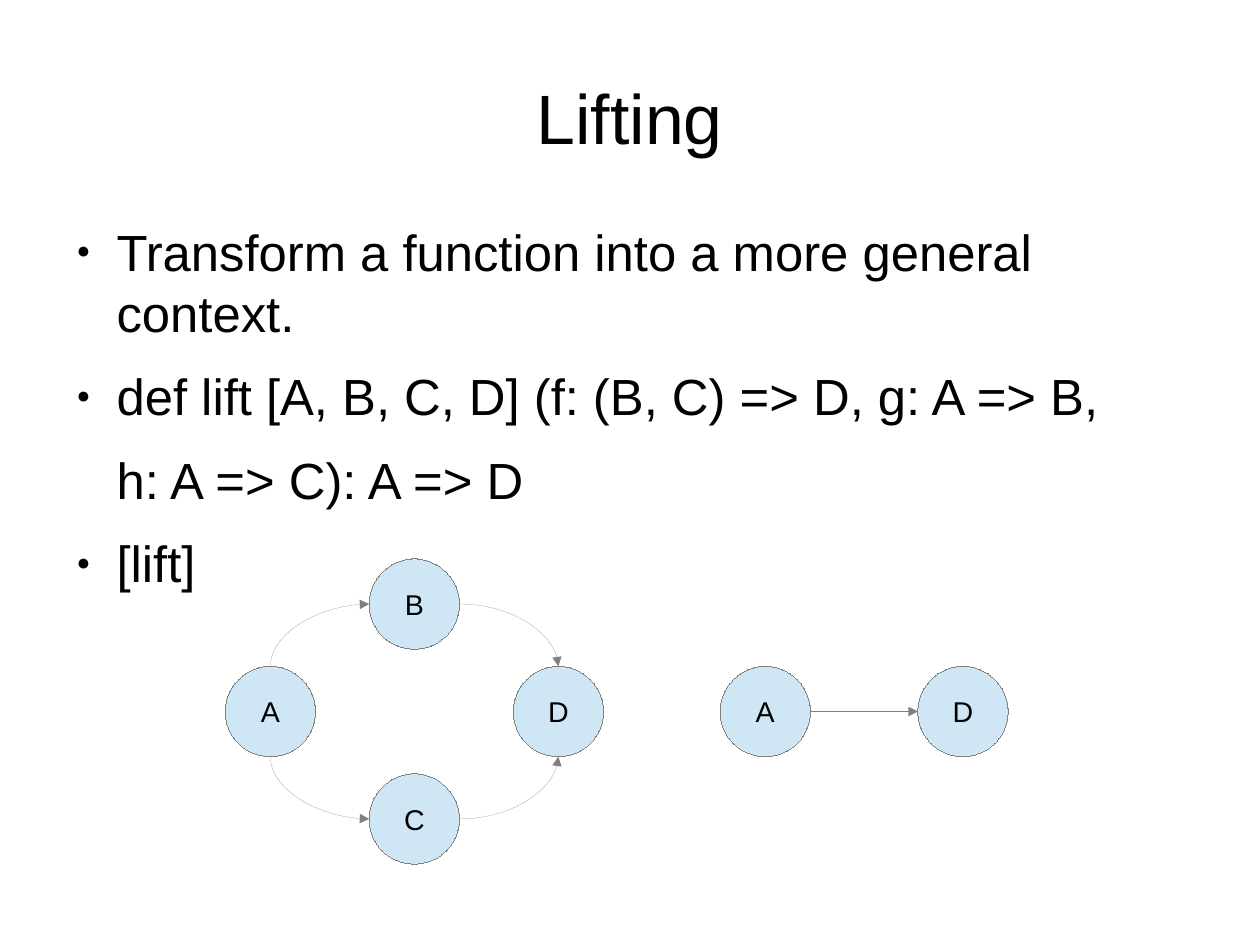
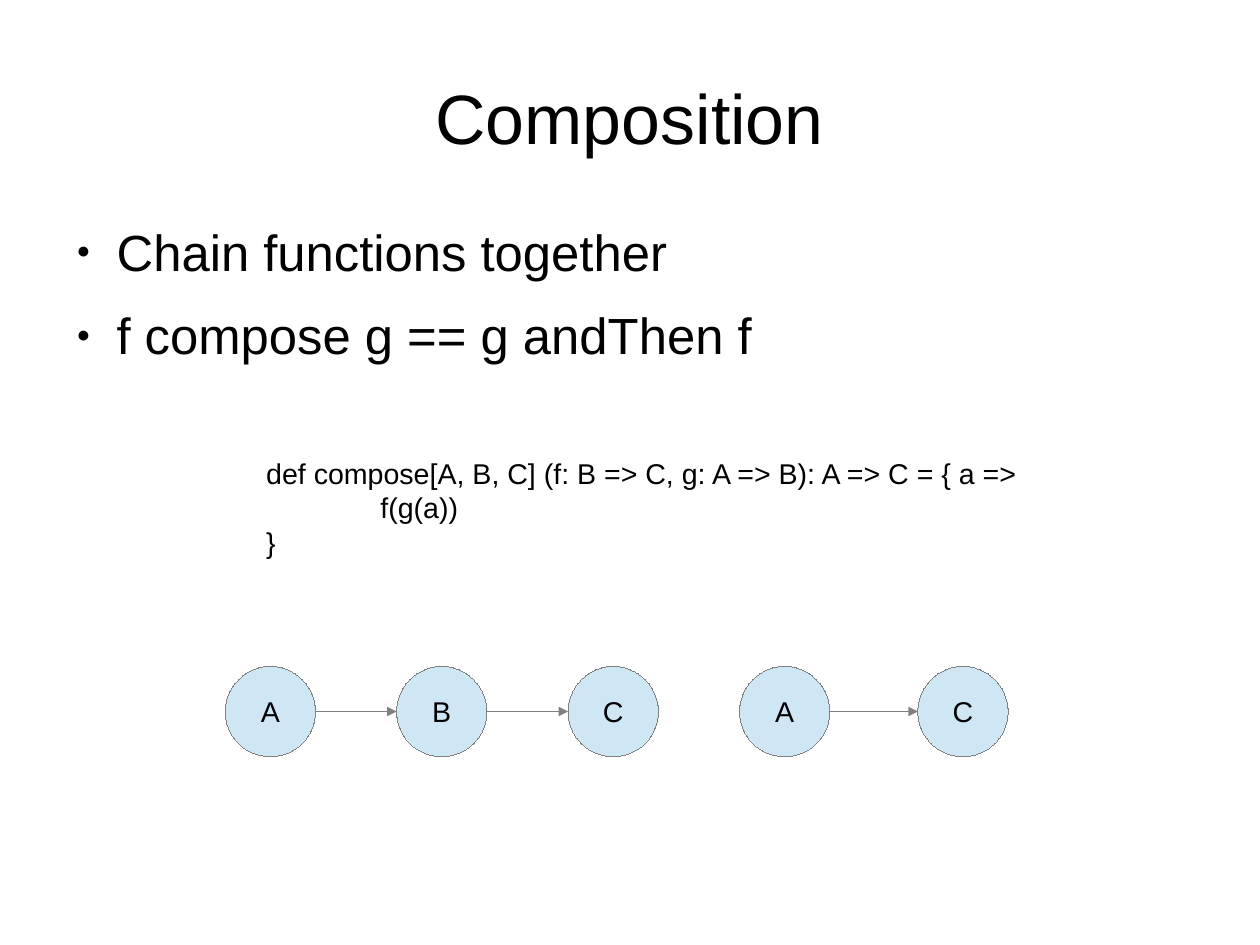
import pptx
import pptx.dml.color
import pptx.enum.shapes
import pptx.enum.text
import pptx.oxml.ns
import pptx.util
from lxml import etree

Inches = pptx.util.Inches
Pt = pptx.util.Pt
qn = pptx.oxml.ns.qn
PP_ALIGN = pptx.enum.text.PP_ALIGN
ANCHOR = pptx.enum.text.MSO_ANCHOR
CONNECTOR = pptx.enum.shapes.MSO_CONNECTOR

FONT = "Arial"
BLACK, GREY, PALE_BLUE = "000000", "808080", "CFE7F5"
NODE_SIZE = 0.79
ROW_Y, ROW_GAP = 5.83, 0.94
LEFT_X, RIGHT_X = 1.97, 8.03

# Connection site number and relative position on an ellipse
SIDES = {"top": (0, 0.5, 0), "left": (2, 0, 0.5),
         "bottom": (4, 0.5, 1), "right": (6, 1, 0.5)}


def rgb(value):
    return pptx.dml.color.RGBColor.from_string(value)


def add_child(parent, tag, **attributes):
    return etree.SubElement(parent, qn(tag), attributes)


def add_run(p, text, size):
    r = p.add_run()
    r.text = text
    r.font.name = FONT
    r.font.size = Pt(size)
    r.font.color.rgb = rgb(BLACK)


def place(shape, left, top, width, height):
    shape.left, shape.top = Inches(left), Inches(top)
    shape.width, shape.height = Inches(width), Inches(height)


def clear_margins(tf):
    tf.margin_left = tf.margin_right = tf.margin_top = tf.margin_bottom = 0
    tf.auto_size = pptx.enum.text.MSO_AUTO_SIZE.NONE
    tf.word_wrap = True


def paragraphs(tf, count):
    return [tf.paragraphs[0]] + [tf.add_paragraph() for _ in range(count - 1)]


def set_hairline(shape):
    """Give a grey line of zero width, written out so the theme width is not used."""
    shape.line.color.rgb = rgb(GREY)
    ln = shape._element.spPr.find(qn("a:ln"))
    ln.set("w", "0")
    return ln


def format_list_item(p, bulleted):
    pPr = p._p.get_or_add_pPr()
    pPr.set("marL", str(Inches(0.47)))
    pPr.set("indent", str(Inches(-0.35) if bulleted else 0))
    if bulleted:
        add_child(add_child(pPr, "a:buClr"), "a:srgbClr", val=BLACK)
        add_child(pPr, "a:buSzPct", val="45000")
        add_child(pPr, "a:buFont", typeface=FONT)
        add_child(pPr, "a:buChar", char="●")
    else:
        add_child(pPr, "a:buNone")
    p.space_before = Pt(0)
    p.space_after = Pt(14.2)


def add_slide(prs, title, items):
    """Add a slide with a title and a list of (text, bulleted) items."""
    s = prs.slides.add_slide(prs.slide_layouts[1])
    place(s.shapes.title, 0.55, 0.33, 9.92, 1.38)
    tf = s.shapes.title.text_frame
    clear_margins(tf)
    tf.vertical_anchor = ANCHOR.MIDDLE
    tf.paragraphs[0].alignment = PP_ALIGN.CENTER
    add_run(tf.paragraphs[0], title, 44)

    body = s.placeholders[1]
    place(body, 0.55, 1.93, 9.7, 4.8)
    clear_margins(body.text_frame)
    for p, (text, bulleted) in zip(paragraphs(body.text_frame, len(items)), items):
        format_list_item(p, bulleted)
        add_run(p, text, 32)
    return s


def add_code(s, lines):
    box = s.shapes.add_textbox(Inches(1.23), Inches(3.94), Inches(7.82), Inches(0.94))
    tf = box.text_frame
    tf.word_wrap = True
    for p, line in zip(paragraphs(tf, len(lines)), lines):
        tabs = add_child(p._p.get_or_add_pPr(), "a:tabLst")
        for stop in (1, 2):
            add_child(tabs, "a:tab", pos=str(Inches(stop)), algn="l")
        add_run(p, line, 18)


def add_node(s, label, left, top=ROW_Y):
    node = s.shapes.add_shape(pptx.enum.shapes.MSO_SHAPE.OVAL, Inches(left),
                              Inches(top), Inches(NODE_SIZE), Inches(NODE_SIZE))
    node.shadow.inherit = False
    node.fill.solid()
    node.fill.fore_color.rgb = rgb(PALE_BLUE)
    set_hairline(node)
    tf = node.text_frame
    tf.word_wrap = False
    tf.vertical_anchor = ANCHOR.MIDDLE
    tf.paragraphs[0].alignment = PP_ALIGN.CENTER
    add_run(tf.paragraphs[0], label, 18)
    return node


def side_point(node, side):
    _, fx, fy = SIDES[side]
    return node.left + node.width * fx, node.top + node.height * fy


def add_arrow(s, start, end, start_side="right", end_side="left"):
    """Join two nodes, with a quarter curve where the sides are at right angles."""
    (x1, y1), (x2, y2) = side_point(start, start_side), side_point(end, end_side)
    curved = (start_side in ("top", "bottom")) != (end_side in ("top", "bottom"))
    turn = {"top": 90, "bottom": 270}.get(start_side, 0)
    if turn:
        # The frame is stored unrotated, so turn both ends back about the centre
        cx, cy = (x1 + x2) / 2, (y1 + y2) / 2
        sign = 1 if turn == 90 else -1
        dx, dy = sign * (y1 - cy), sign * (cx - x1)
        x1, y1, x2, y2 = cx + dx, cy + dy, cx - dx, cy - dy
    kind = CONNECTOR.CURVE if curved else CONNECTOR.STRAIGHT
    arrow = s.shapes.add_connector(kind, *(round(v) for v in (x1, y1, x2, y2)))
    add_child(set_hairline(arrow), "a:tailEnd", type="triangle")
    spPr = arrow._element.spPr
    add_child(spPr, "a:effectLst")
    if curved:
        spPr.find(qn("a:prstGeom")).set("prst", "curvedConnector2")
    if turn:
        spPr.find(qn("a:xfrm")).set("rot", str(turn * 60000))
    links = arrow._element.find(".//" + qn("p:cNvCxnSpPr"))
    for tag, node, side in (("a:stCxn", start, start_side), ("a:endCxn", end, end_side)):
        add_child(links, tag, id=str(node.shape_id), idx=str(SIDES[side][0]))


def add_lifting(prs):
    s = add_slide(prs, "Lifting", [
        ("Transform a function into a more general context.", True),
        ("def lift [A, B, C, D] (f: (B, C) => D, g: A => B,", True),
        ("h: A => C): A => D", False),
        ("[lift]", True),
    ])
    step = 1.26
    a = add_node(s, "A", LEFT_X)
    b = add_node(s, "B", LEFT_X + step, ROW_Y - ROW_GAP)
    c = add_node(s, "C", LEFT_X + step, ROW_Y + ROW_GAP)
    d = add_node(s, "D", LEFT_X + 2 * step)
    for middle, side in ((b, "top"), (c, "bottom")):
        add_arrow(s, a, middle, side, "left")
        add_arrow(s, middle, d, "right", side)
    add_arrow(s, add_node(s, "A", 6.3), add_node(s, "D", RIGHT_X))


def add_composition(prs):
    s = add_slide(prs, "Composition", [
        ("Chain functions together", True),
        ("f compose g == g andThen f", True),
    ])
    add_code(s, [
        "\tdef compose[A, B, C] (f: B => C, g: A => B): A => C = { a =>",
        "\t\tf(g(a))",
        "\t}",
    ])
    step = 1.5
    a, b, c = [add_node(s, label, LEFT_X + i * step) for i, label in enumerate("ABC")]
    add_arrow(s, a, b)
    add_arrow(s, b, c)
    add_arrow(s, add_node(s, "A", LEFT_X + 3 * step), add_node(s, "C", RIGHT_X))


def main():
    prs = pptx.Presentation()
    prs.slide_width, prs.slide_height = pptx.util.Cm(28), pptx.util.Cm(21)
    add_lifting(prs)
    add_composition(prs)
    prs.save("out.pptx")


if __name__ == "__main__":
    main()
